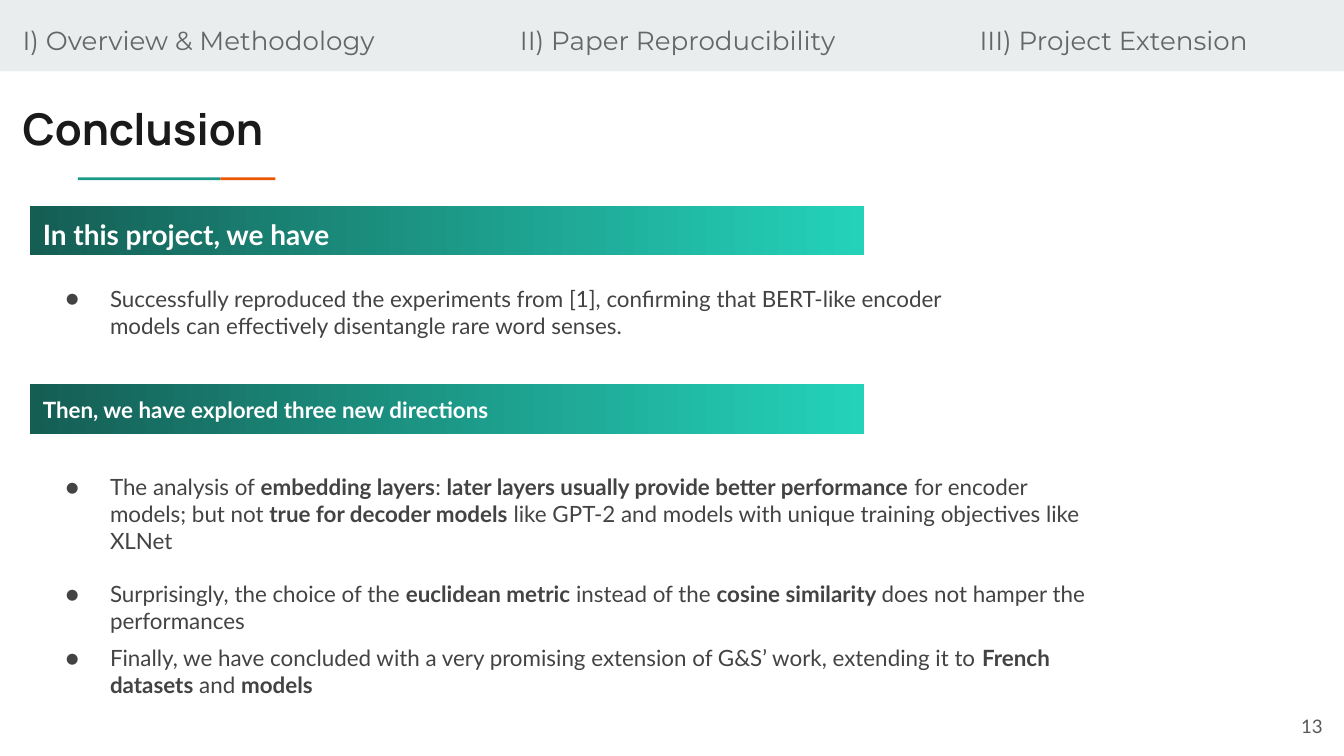
from dataclasses import dataclass
from typing import Optional

from lxml import etree
from pptx import Presentation
from pptx.dml.color import RGBColor
from pptx.enum.shapes import MSO_SHAPE
from pptx.enum.text import MSO_ANCHOR, PP_ALIGN
from pptx.oxml.ns import qn
from pptx.util import Inches, Pt

RECT = MSO_SHAPE.RECTANGLE
TOP, MIDDLE = MSO_ANCHOR.TOP, MSO_ANCHOR.MIDDLE
LEFT, RIGHT = PP_ALIGN.LEFT, PP_ALIGN.RIGHT

HEX = {
    "band": "E9EDEE", "teal": "1A9988", "orange": "EB5600",
    "light": "24D2BA", "dark": "155E54", "title": "1A1A1A",
    "body": "434343", "white": "FFFFFF", "page": "595959", "nav": "666666",
}


@dataclass(frozen=True)
class Box:
    x: float
    y: float
    w: float
    h: float


@dataclass(frozen=True)
class Font:
    name: str
    size: float
    tone: str
    bold: bool = False


@dataclass(frozen=True)
class Span:
    text: str
    bold: bool = False


@dataclass(frozen=True)
class Point:
    spans: tuple[Span, ...]
    gap: float = 0
    mark: bool = True


def shade(tone: str) -> RGBColor:
    return RGBColor.from_string(HEX[tone])


def add_bar(slide, box: Box, tone: str, end: Optional[str] = None):
    bar = slide.shapes.add_shape(RECT, Inches(box.x), Inches(box.y), Inches(box.w), Inches(box.h))
    bar.shadow.inherit = False
    bar.line.fill.background()
    if end:
        bar.fill.gradient()
        bar.fill.gradient_angle = 180
        for stop, name in zip(bar.fill.gradient_stops, (tone, end)):
            stop.color.rgb = shade(name)
    else:
        bar.fill.solid()
        bar.fill.fore_color.rgb = shade(tone)
    return bar


def add_box(slide, box: Box):
    return slide.shapes.add_textbox(Inches(box.x), Inches(box.y), Inches(box.w), Inches(box.h))


def set_frame(shape, anchor=TOP):
    frame = shape.text_frame
    frame.word_wrap = True
    frame.vertical_anchor = anchor
    frame.margin_left = frame.margin_right = Inches(0.1)
    frame.margin_top = frame.margin_bottom = Inches(0.1)
    return frame


def add_run(para, span: Span, font: Font) -> None:
    run = para.add_run()
    run.text = span.text
    run.font.name = font.name
    run.font.size = Pt(font.size)
    run.font.bold = font.bold or span.bold
    run.font.color.rgb = shade(font.tone)


def put_line(shape, text: str, font: Font, anchor=TOP, align=LEFT):
    para = set_frame(shape, anchor).paragraphs[0]
    para.alignment = align
    add_run(para, Span(text), font)
    return para


def set_tabs(para, stops: tuple[float, ...]) -> None:
    tabs = etree.SubElement(para._p.get_or_add_pPr(), qn("a:tabLst"))
    for stop in stops:
        etree.SubElement(tabs, qn("a:tab"), pos=str(Inches(stop)), algn="l")


def set_mark(para, mark: bool, font: Font) -> None:
    props = para._p.get_or_add_pPr()
    props.set("marL", str(Inches(0.5)))
    props.set("indent", str(Inches(-0.33 if mark else 0)))
    if mark:
        tone = etree.SubElement(props, qn("a:buClr"))
        etree.SubElement(tone, qn("a:srgbClr"), val=HEX[font.tone])
        etree.SubElement(props, qn("a:buSzPts"), val=str(font.size * 100))
        etree.SubElement(props, qn("a:buFont"), typeface=font.name)
        etree.SubElement(props, qn("a:buChar"), char="●")
    else:
        etree.SubElement(props, qn("a:buNone"))


def add_points(slide, box: Box, points: tuple[Point, ...], font: Font) -> None:
    frame = set_frame(add_box(slide, box))
    for i, point in enumerate(points):
        para = frame.add_paragraph() if i else frame.paragraphs[0]
        para.space_before = Pt(point.gap)
        set_mark(para, point.mark, font)
        for span in point.spans:
            add_run(para, span, font)


POINTS = (
    Point((Span("Successfully reproduced the experiments from [1], confirming that BERT-like encoder"),)),
    Point((Span("models can effectively disentangle rare word senses."),), mark=False),
    Point((
        Span("The analysis of "),
        Span("embedding layers", True),
        Span(": "),
        Span("later layers usually provide better performance", True),
        Span(" for encoder models; but not"),
        Span(" true for decoder models", True),
        Span(" like GPT-2 and models with unique training objectives like XLNet"),
    ), gap=72),
    Point((
        Span("Surprisingly, the choice of the "),
        Span("euclidean metric", True),
        Span(" instead of the "),
        Span("cosine similarity ", True),
        Span("does not hamper the performances"),
    ), gap=14.4),
    Point((
        Span("Finally, we have concluded with a very promising extension of G&S’ work, extending it to "),
        Span("French datasets", True),
        Span(" and "),
        Span("models", True),
    ), gap=5.4),
)


def main() -> None:
    deck = Presentation()
    deck.slide_width = Inches(10)
    deck.slide_height = Inches(10 * 9 / 16)
    slide = deck.slides.add_slide(deck.slide_layouts[6])

    add_bar(slide, Box(0, 0, 10, 0.53), "band")
    add_bar(slide, Box(0.58, 1.32, 1.06, 0.02), "teal")
    add_bar(slide, Box(1.64, 1.32, 0.41, 0.02), "orange")
    put_line(add_box(slide, Box(0.07, 0.66, 10.17, 0.59)), "Conclusion",
             Font("Manrope", 23.4, "title", True))

    add_points(slide, Box(0.22, 2.02, 8.08, 1.46), POINTS, Font("Lato", 12, "body"))

    add_bar(slide, Box(0.22, 1.53, 6.21, 0.37), "light", "dark")
    head = put_line(add_box(slide, Box(0.22, 1.48, 5.57, 0.45)), "In this project, we have",
                    Font("Lato", 15, "white", True))
    head.line_spacing = 1.15
    put_line(add_bar(slide, Box(0.22, 2.86, 6.21, 0.37), "light", "dark"),
             "Then, we have explored three new directions",
             Font("Lato", 12, "white", True), MIDDLE)

    put_line(add_box(slide, Box(9.34, 5.19, 0.6, 0.43)), "13",
             Font("Lato", 10, "page"), MIDDLE, RIGHT)
    nav = put_line(add_box(slide, Box(0.07, 0.08, 9.93, 0.4)),
                   "I) Overview & Methodology\tII) Paper Reproducibility\tIII) Project Extension",
                   Font("Montserrat", 14, "nav"))
    set_tabs(nav, (3.7, 7.12))

    deck.save("out.pptx")


if __name__ == "__main__":
    main()
